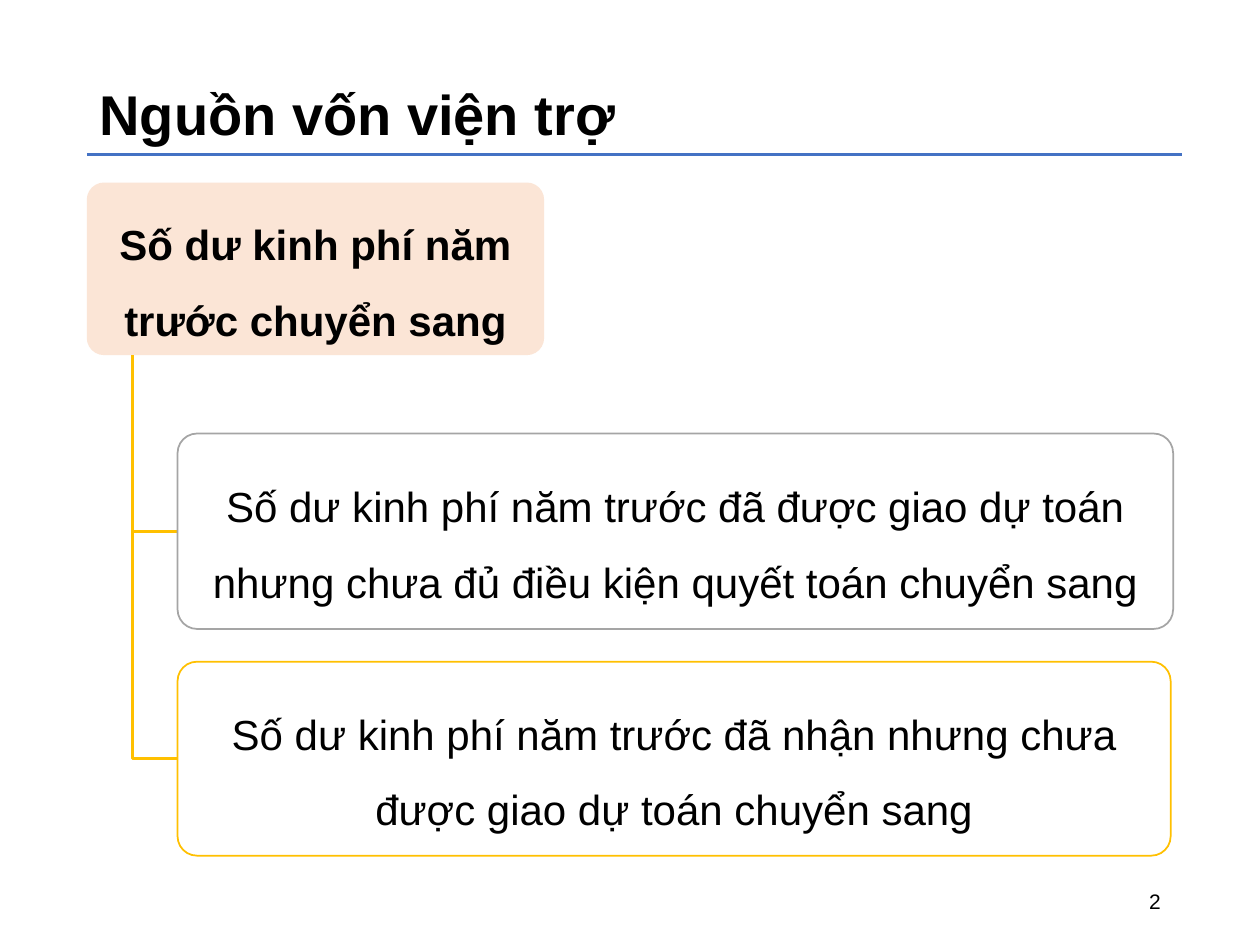
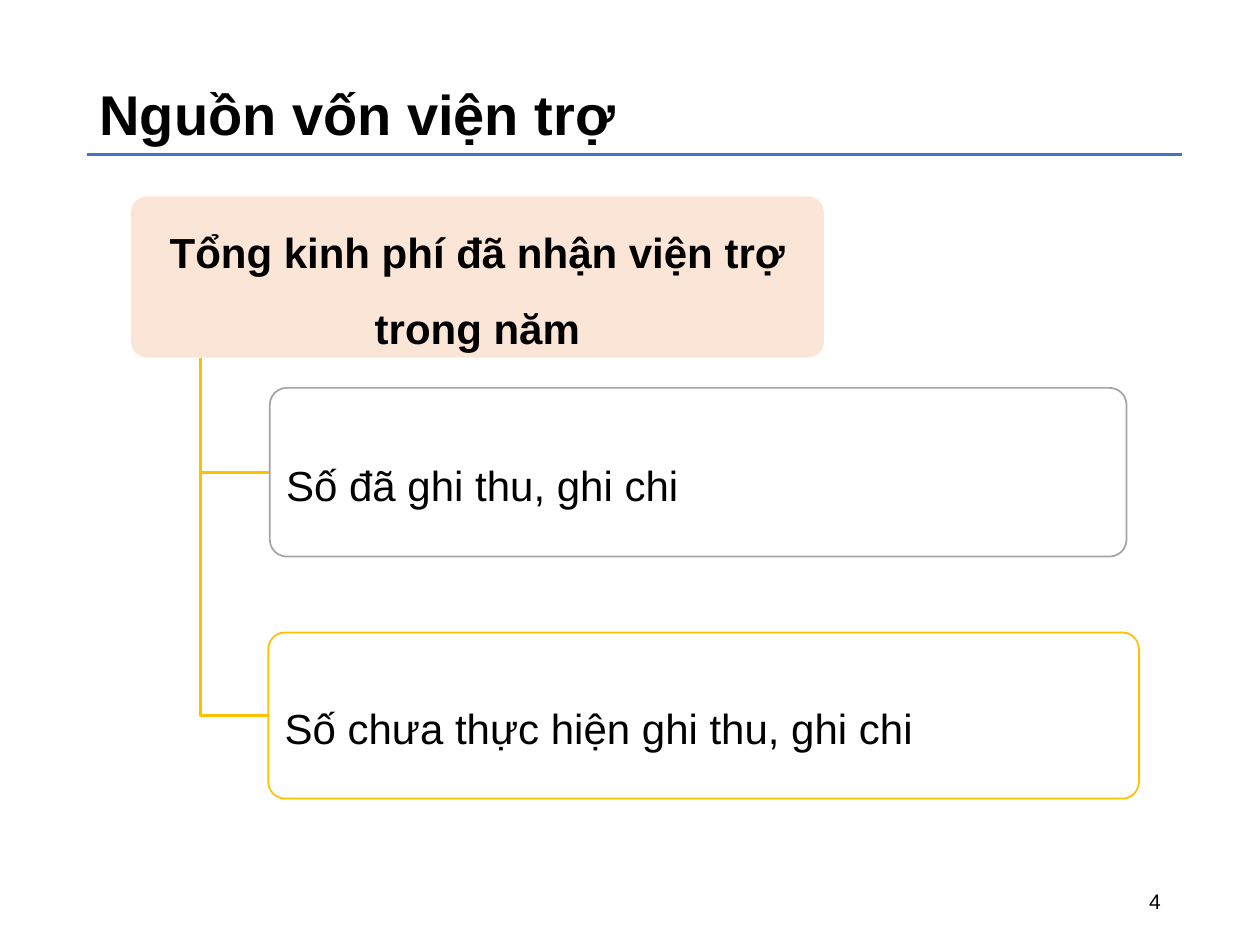
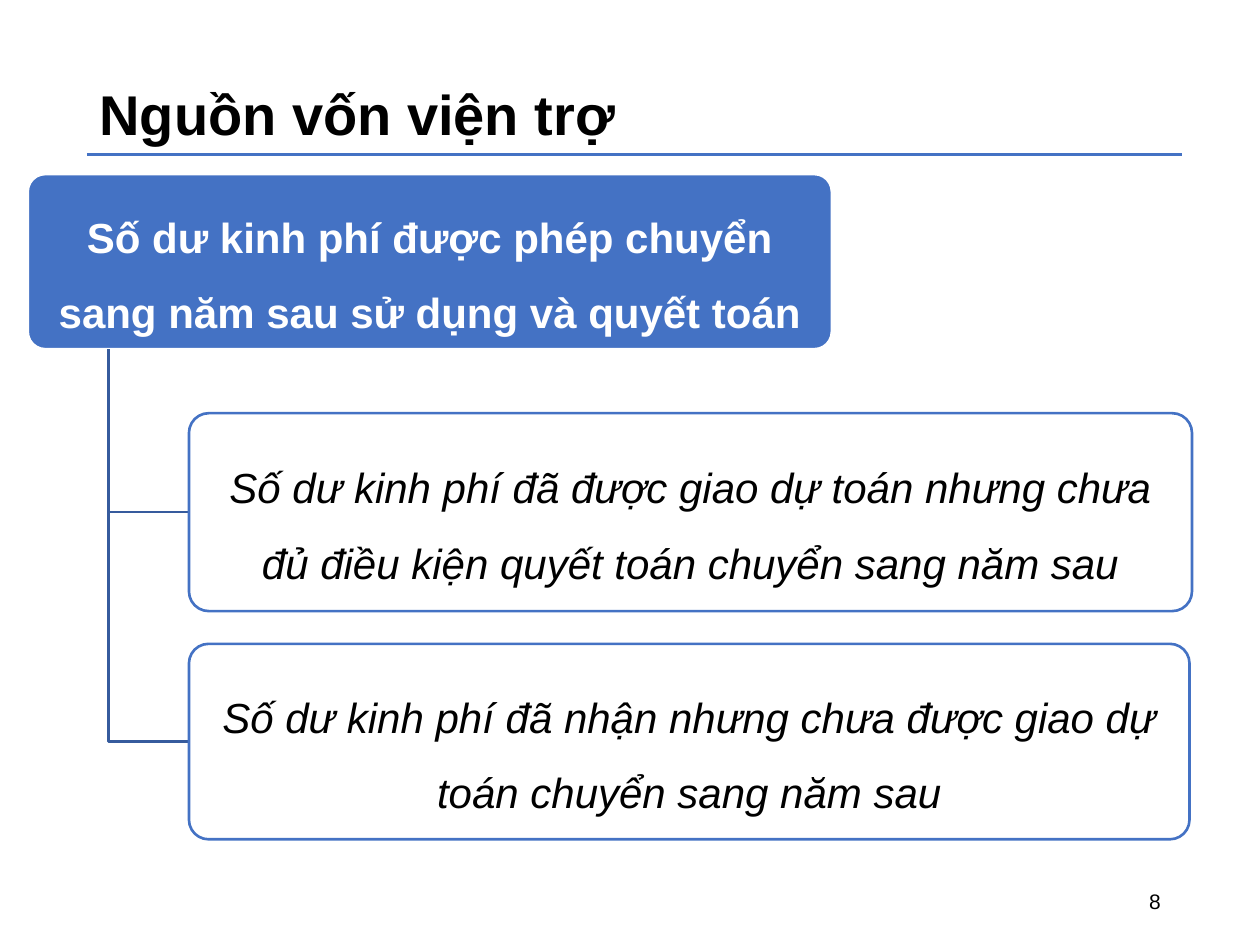
from lxml.etree import SubElement
from pptx import Presentation
from pptx.dml.color import RGBColor
from pptx.enum.shapes import MSO_CONNECTOR, MSO_SHAPE
from pptx.enum.text import MSO_ANCHOR as ANCHOR, MSO_AUTO_SIZE, PP_ALIGN as ALIGN
from pptx.oxml.ns import qn
from pptx.util import Cm, Pt

COLORS = {
    "black": "000000",
    "white": "FFFFFF",
    "blue": "4472C4",
    "dark_blue": "365B9D",
    "peach": "FBE5D6",
    "gold": "FFC000",
    "gray": "A5A5A5",
}
RGB = {name: RGBColor.from_string(value) for name, value in COLORS.items()}
FONT = "Arial"
TITLE = "Nguồn vốn viện trợ"

WARM = {"root_fill": "peach", "root_line": None, "root_text": "black",
        "elbow": "gold", "child_lines": ["gray", "gold"], "child_width": 1,
        "italic": False}
BLUE = {"root_fill": "blue", "root_line": "white", "root_text": "white",
        "elbow": "dark_blue", "child_lines": ["blue", "blue"], "child_width": 1.5,
        "italic": True}

# Boxes are (left, top, width, height) in centimetres
PAGES = [
    {"number": "2", "theme": WARM, "align": ALIGN.CENTER,
     "root": ("Số dư kinh phí năm trước chuyển sang", (1.75, 3.68, 9.22, 3.48)),
     "children": [
         ("Số dư kinh phí năm trước đã được giao dự toán nhưng chưa đủ điều kiện "
          "quyết toán chuyển sang", (3.58, 8.74, 20.07, 3.94)),
         ("Số dư kinh phí năm trước đã nhận nhưng chưa được giao dự toán chuyển sang",
          (3.58, 13.34, 20.02, 3.91)),
     ]},
    {"number": "4", "theme": WARM, "align": ALIGN.LEFT,
     "root": ("Tổng kinh phí đã nhận viện trợ trong năm", (2.64, 3.96, 13.97, 3.25)),
     "children": [
         ("Số đã ghi thu, ghi chi", (5.44, 7.82, 17.27, 3.4)),
         ("Số chưa thực hiện ghi thu, ghi chi", (5.41, 12.75, 17.55, 3.35)),
     ]},
    {"number": "8", "theme": BLUE, "align": ALIGN.CENTER,
     "root": ("Số dư kinh phí được phép chuyển sang năm sau sử dụng và quyết toán",
              (0.56, 3.51, 16.21, 3.53)),
     "children": [
         ("Số dư kinh phí đã được giao dự toán nhưng chưa đủ điều kiện quyết toán "
          "chuyển sang năm sau", (3.81, 8.33, 20.22, 3.99)),
         ("Số dư kinh phí đã nhận nhưng chưa được giao dự toán chuyển sang năm sau",
          (3.81, 12.98, 20.17, 3.94)),
     ]},
]


def write_text(shape, text, size, anchor, align, color="black", bold=False, italic=False):
    frame = shape.text_frame
    frame.word_wrap = True
    frame.auto_size = MSO_AUTO_SIZE.NONE
    frame.vertical_anchor = anchor
    para = frame.paragraphs[0]
    para.alignment = align
    span = para.add_run()
    span.text = text
    span.font.name = FONT
    span.font.size = Pt(size)
    span.font.bold = bold
    span.font.italic = italic
    span.font.color.rgb = RGB[color]
    return para


def add_box(page, text, place, fill, line, line_width, align, **style):
    """Add a rounded box with its text and return it."""
    box = page.shapes.add_shape(MSO_SHAPE.ROUNDED_RECTANGLE, *map(Cm, place))
    box.adjustments[0] = 0.1
    box.shadow.inherit = False
    box.fill.solid()
    box.fill.fore_color.rgb = RGB[fill]
    if line:
        box.line.color.rgb = RGB[line]
        box.line.width = Pt(line_width)
    else:
        box.line.fill.background()
    frame = box.text_frame
    frame.margin_left = frame.margin_right = Cm(0.23)
    frame.margin_top = frame.margin_bottom = Cm(0.18)
    para = write_text(box, text, 24, ANCHOR.MIDDLE, align, **style)
    para.line_spacing = 1.5
    return box


deck = Presentation()
deck.slide_width, deck.slide_height = Cm(25.4), Cm(19.05)
title_only = deck.slide_layouts[5]

for content in PAGES:
    page = deck.slides.add_slide(title_only)
    theme = content["theme"]

    rule = page.shapes.add_connector(
        MSO_CONNECTOR.STRAIGHT, Cm(1.75), Cm(3.12), Cm(23.83), Cm(3.12))
    rule.line.color.rgb = RGB["blue"]
    rule.line.width = Pt(1.5)
    SubElement(rule._element.spPr, qn("a:effectLst"))

    number = page.shapes.add_textbox(Cm(17.93), Cm(17.65), Cm(5.72), Cm(1.02))
    write_text(number, content["number"], 12, ANCHOR.MIDDLE, ALIGN.RIGHT)

    title = page.shapes.title
    title.left, title.top, title.width, title.height = map(Cm, (1.75, 1.47, 12.7, 1.63))
    write_text(title, TITLE, 32, ANCHOR.TOP, ALIGN.LEFT, bold=True)

    root_text, root_place = content["root"]
    root = add_box(page, root_text, root_place, theme["root_fill"], theme["root_line"], 1.5,
                   ALIGN.CENTER, color=theme["root_text"], bold=True)
    trunk_x = root.left + root.width // 10
    trunk_top = root.top + root.height

    for (text, place), line in zip(content["children"], theme["child_lines"]):
        left, top, width, height = map(Cm, place)
        middle = top + height // 2
        outline = page.shapes.build_freeform(trunk_x, trunk_top)
        outline.add_line_segments([(trunk_x, middle), (left, middle)], close=False)
        elbow = outline.convert_to_shape()
        elbow.shadow.inherit = False
        elbow.fill.background()
        elbow.line.color.rgb = RGB[theme["elbow"]]
        elbow.line.width = Pt(1.5)

        child = add_box(page, text, place, "white", line, theme["child_width"],
                        content["align"], italic=theme["italic"])
        fill_color = child._element.spPr.find(qn("a:solidFill")).find(qn("a:srgbClr"))
        SubElement(fill_color, qn("a:alpha"), val="90000")

deck.save("out.pptx")
